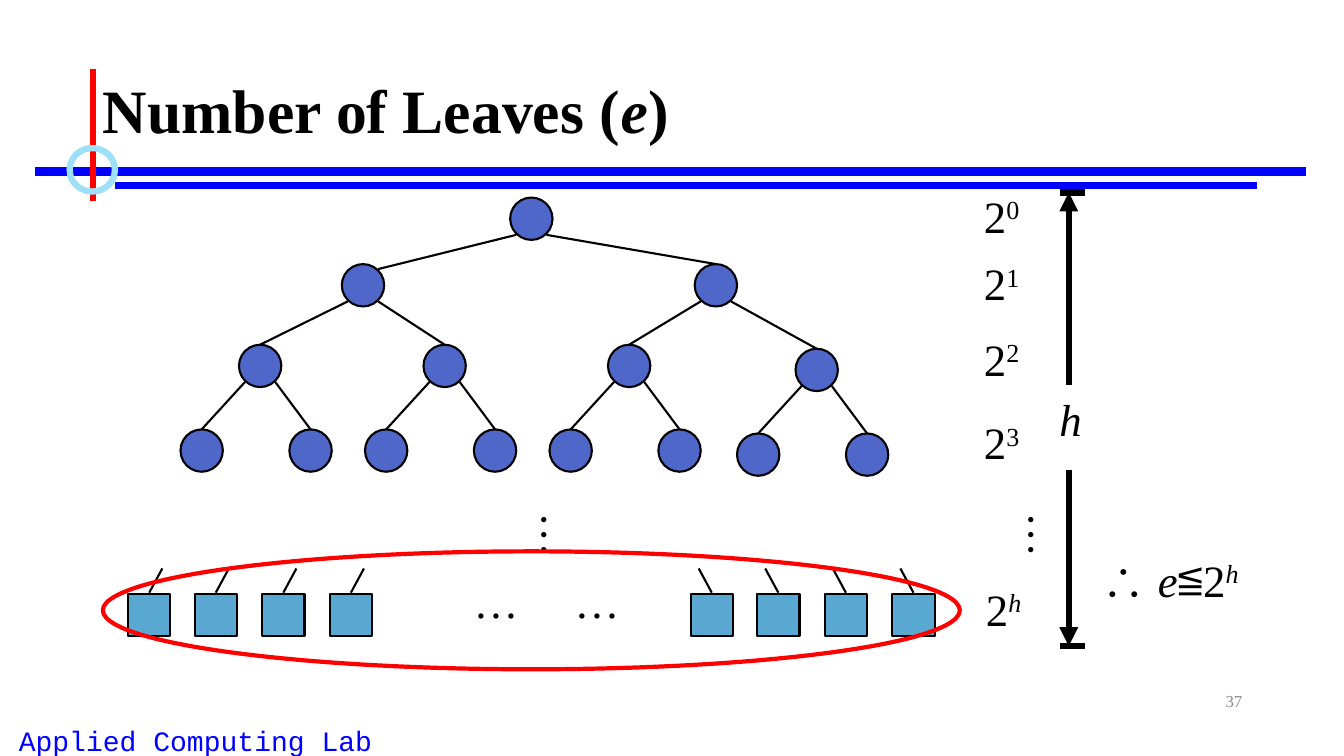
"""Build the slide on the number of leaves of a binary tree."""
from lxml import etree
from pptx import Presentation
from pptx.dml.color import RGBColor
from pptx.enum.shapes import MSO_CONNECTOR, MSO_SHAPE
from pptx.enum.text import MSO_ANCHOR, MSO_AUTO_SIZE, PP_ALIGN
from pptx.oxml.ns import qn
from pptx.util import Pt

STRAIGHT = MSO_CONNECTOR.STRAIGHT
OVAL, SQUARE = MSO_SHAPE.OVAL, MSO_SHAPE.RECTANGLE
LEFT, CENTER, RIGHT = PP_ALIGN.LEFT, PP_ALIGN.CENTER, PP_ALIGN.RIGHT
MIDDLE, FIT_TEXT = MSO_ANCHOR.MIDDLE, MSO_AUTO_SIZE.SHAPE_TO_FIT_TEXT

EMU_PER_PX = 9144
SERIF, MONO = "Times New Roman", "Courier New"
BLACK, BLUE, RED, SKY = "000000", "0000FF", "FF0000", "9EE0F8"
NODE_FILL, LEAF_FILL, GREY = "4E67C8", "59A8D1", "8C8C8C"
SIZE = 42
HALF = SIZE // 2
LEAF_TOP = 589

ROOT = (506, 196)
CHILDREN = [(339, 262), (689, 262)]
GRANDCHILDREN = [(237, 342), (420, 342), (603, 342), (789, 346)]
POWER_TOPS = {"0": 182, "1": 249, "2": 324, "3": 407}


def emu(*lengths):
    """Turn px lengths into EMU."""
    return [length * EMU_PER_PX for length in lengths]


def color(value):
    """Turn a hex string into a colour."""
    return RGBColor.from_string(value)


def add_line(shapes, start, end, stroke=BLACK, width=1.5, arrow=None):
    """Draw a straight line, with an optional arrowhead at headEnd or tailEnd."""
    line = shapes.add_connector(STRAIGHT, *emu(*start, *end))
    line.line.color.rgb = color(stroke)
    line.line.width = Pt(width)
    if arrow:
        tip = etree.SubElement(line.line._get_or_add_ln(), qn("a:" + arrow))
        tip.set("type", "triangle")
    etree.SubElement(line._element.spPr, qn("a:effectLst"))


def add_figure(shapes, kind, box, fill=None, stroke=BLACK, width=1.5):
    """Draw a preset shape, hollow when no fill is given."""
    figure = shapes.add_shape(kind, *emu(*box))
    figure.shadow.inherit = False
    if fill:
        figure.fill.solid()
        figure.fill.fore_color.rgb = color(fill)
    else:
        figure.fill.background()
    figure.line.color.rgb = color(stroke)
    figure.line.width = Pt(width)


def write(paragraph, pieces, size, font=SERIF, ink=BLACK, bold=False):
    """Fill a paragraph with (text, marks) pieces; i is italic, ^ is superscript."""
    for text, marks in pieces:
        run = paragraph.add_run()
        run.text = text
        run.font.size, run.font.name = Pt(size), font
        run.font.color.rgb = color(ink)
        run.font.bold, run.font.italic = bold, "i" in marks
        if "^" in marks:
            run.font._element.set("baseline", "30000")


def add_label(shapes, box, pieces, size=32, align=LEFT, rotation=0, **style):
    """Place a one-line text box."""
    label = shapes.add_textbox(*emu(*box))
    label.rotation = rotation
    label.text_frame.word_wrap = False
    label.text_frame.auto_size = FIT_TEXT
    label.text_frame.paragraphs[0].alignment = align
    write(label.text_frame.paragraphs[0], pieces, size, **style)
    return label


def add_frame(slide):
    """Add the title, its ruled ornament, the lab name and the page number."""
    shapes = slide.shapes
    add_label(shapes, (-58, 713, 504, 43), [("Applied Computing Lab", "")], 20,
              CENTER, font=MONO, ink=BLUE)
    add_line(shapes, (35, 170), (1295, 170), BLUE, 6)
    add_line(shapes, (114, 184), (1247, 184), BLUE, 4.5)
    add_line(shapes, (92, 68), (92, 199), RED, 4.5)
    add_figure(shapes, OVAL, (69, 147, 45, 43), stroke=SKY, width=4.5)

    title = shapes.title
    title.left, title.top, title.width, title.height = emu(92, 40, 1150, 145)
    title.text_frame.vertical_anchor = MIDDLE
    heading = title.text_frame.paragraphs[0]
    heading.alignment, heading.line_spacing = LEFT, 0.9
    write(heading, [("Number of Leaves (", ""), ("e", "i"), (")", "")], 44, bold=True)

    page = add_label(shapes, (942, 675, 300, 40), [("37", "")], 12, RIGHT, ink=GREY)
    page.text_frame.auto_size = MSO_AUTO_SIZE.NONE
    page.text_frame.word_wrap = True
    page.text_frame.vertical_anchor = MIDDLE


def add_tree(shapes):
    """Draw the top four levels, each child joined to its parent."""
    bottom = [(x + dx, y + 84) for x, y in GRANDCHILDREN for dx in (-58, 50)]
    nodes = [ROOT, *CHILDREN, *GRANDCHILDREN, *bottom]
    for index, (x, y) in enumerate(nodes):
        add_figure(shapes, OVAL, (x, y, SIZE, SIZE), NODE_FILL)
        if index:
            parent_x, parent_y = nodes[(index - 1) // 2]
            side = 6 if index % 2 else SIZE - 6
            top = (x + 36, y + 5) if index == 1 else (x + HALF, y)
            add_line(shapes, top, (parent_x + side, parent_y + 37))


def add_leaves(shapes):
    """Draw both runs of leaves with their twigs, dots and the red ring."""
    for first, lean in ((127, 13), (685, -13)):
        for index in range(4):
            x = first + 200 * index // 3
            add_figure(shapes, SQUARE, (x, LEAF_TOP, SIZE, SIZE), LEAF_FILL)
            add_line(shapes, (x + HALF, LEAF_TOP - 1), (x + HALF + lean, 564))
    for x, y, rotation in ((460, 564, 0), (560, 564, 0), (491, 499, 270), (974, 499, 270)):
        add_label(shapes, (x, y, 65, 63), [("…", "")], rotation=rotation)
    add_figure(shapes, OVAL, (102, 547, 850, 117), stroke=RED, width=3)


def add_height(shapes):
    """Draw the measure of the height h."""
    for y in (191, 641):
        add_line(shapes, (1051, y), (1076, y), width=4.5)
    add_line(shapes, (1060, 191), (1060, 382), width=4.5, arrow="headEnd")
    add_line(shapes, (1060, 466), (1060, 641), width=4.5, arrow="tailEnd")
    add_label(shapes, (1041, 384, 43, 64), [("h", "i")])


def main():
    """Build and save the slide."""
    deck = Presentation()
    deck.slide_width, deck.slide_height = emu(1333, 750)
    slide = deck.slides.add_slide(deck.slide_layouts[5])
    shapes = slide.shapes
    add_frame(slide)
    add_tree(shapes)
    add_leaves(shapes)
    for power, top in POWER_TOPS.items():
        add_label(shapes, (966, top, 58, 64), [("2", ""), (power, "^")])
    add_label(shapes, (968, 572, 59, 63), [("2", ""), ("h", "i^")])
    add_height(shapes.add_group_shape().shapes)
    add_label(shapes, (1083, 543, 178, 63),
              [("∴ ", ""), ("e", "i"), ("≦2", ""), ("h", "i^")])
    deck.save("out.pptx")


if __name__ == "__main__":
    main()
